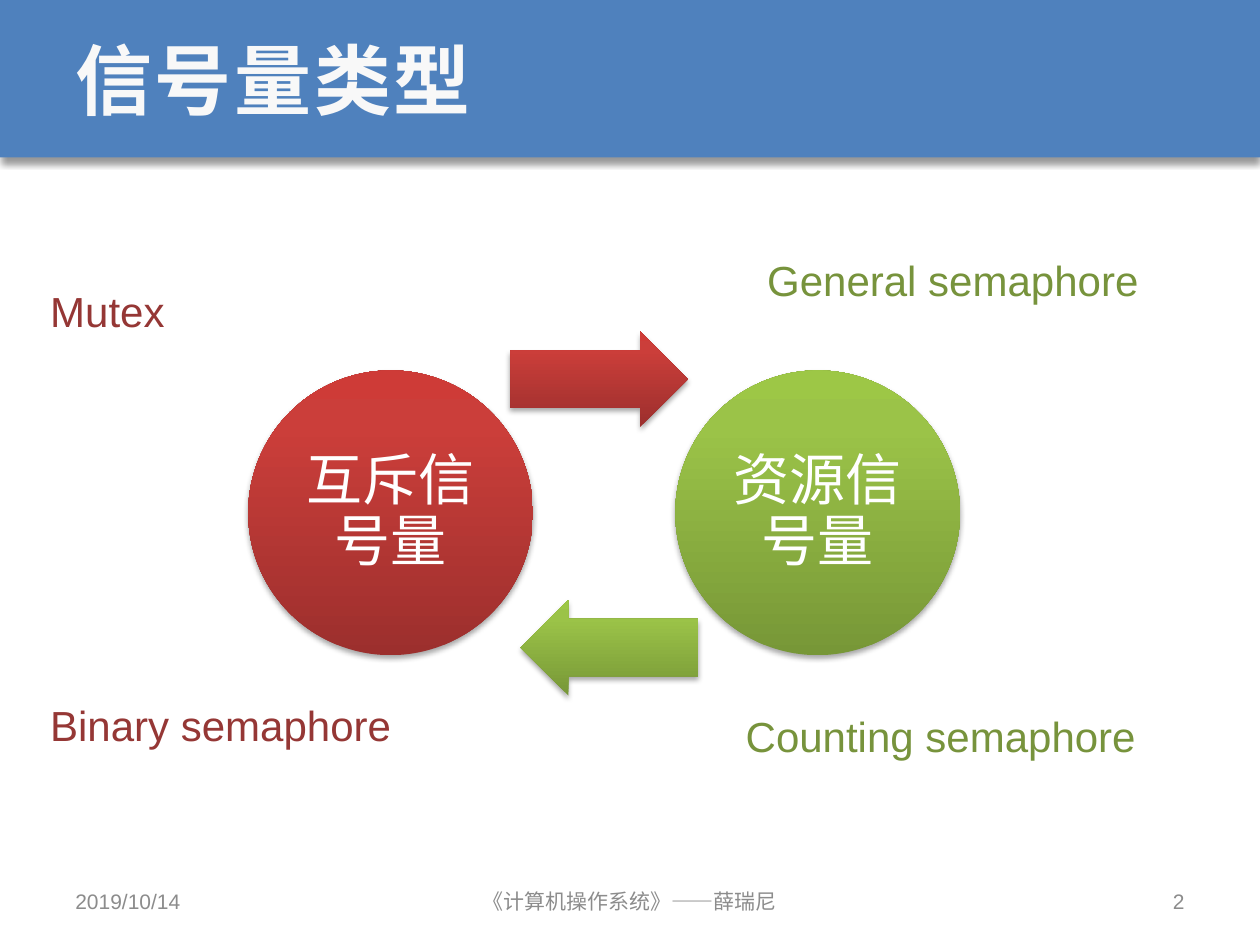
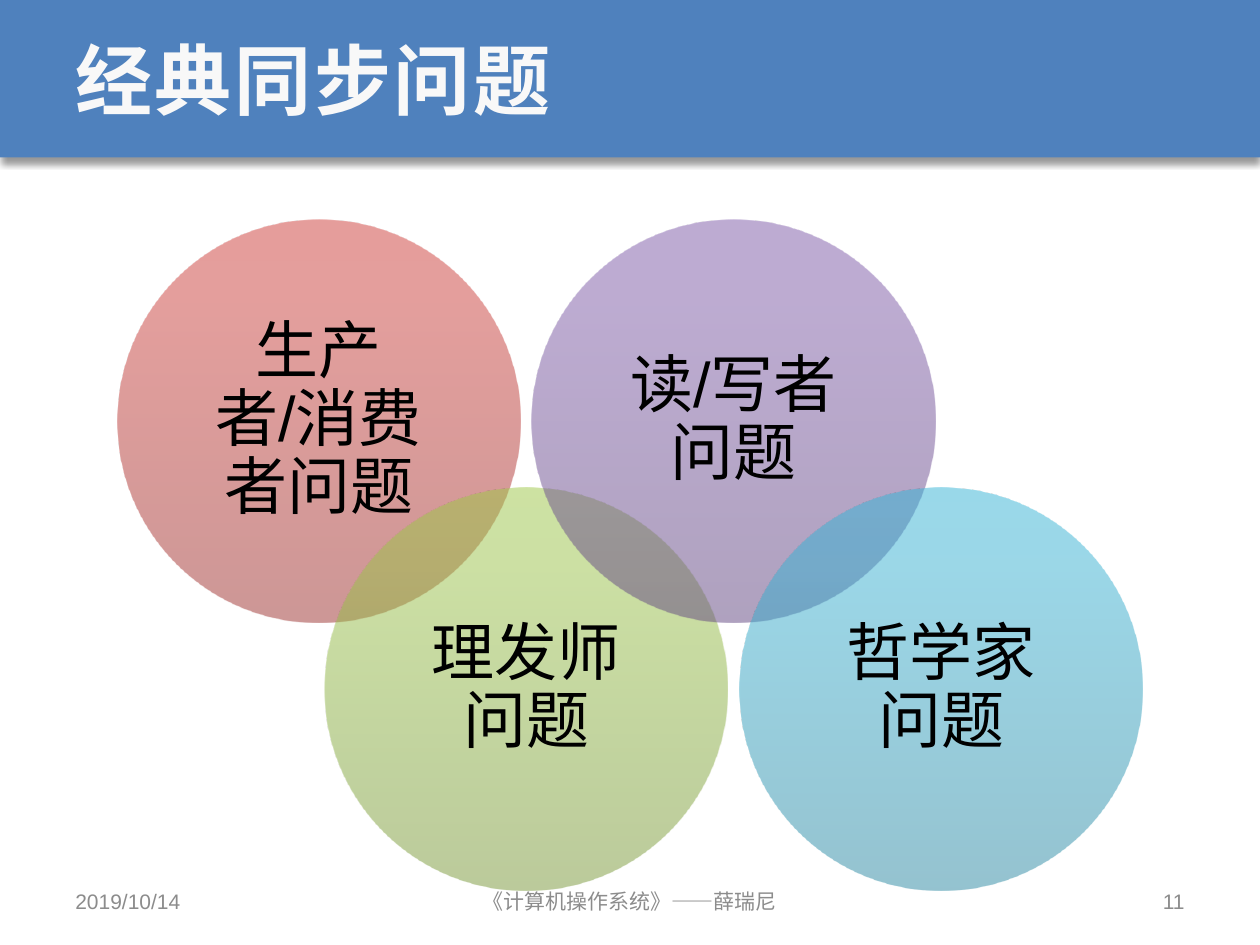
from dataclasses import dataclass

from lxml import etree
from pptx import Presentation
from pptx.dml.color import RGBColor
from pptx.enum.lang import MSO_LANGUAGE_ID as Lang
from pptx.enum.shapes import MSO_SHAPE as Preset
from pptx.enum.text import MSO_ANCHOR as Anchor, MSO_AUTO_SIZE as AutoSize, PP_ALIGN as Align
from pptx.oxml.ns import qn
from pptx.util import Inches, Pt


@dataclass(frozen=True)
class Theme:
    """Colours, gradients, fonts and type sizes of the deck."""
    band: str = "4F81BD"
    title: str = "F8F8F8"
    footer: str = "8C8C8C"
    white: str = "FFFFFF"
    black: str = "000000"
    red_text: str = "953735"
    green_text: str = "77933C"
    red: tuple = ("9C2F2D", "CB3E3A", "CE3B37")
    green: tuple = ("779737", "9BC348", "9DC746")
    purple: tuple = ("5F4480", "7B58A6", "7C57A8")
    cyan: tuple = ("2A88A2", "37B1D2", "34B4D6")
    body_font: str = "Arial"
    title_font: str = "Noto Sans Mono"
    title_size: int = 44
    venn_size: int = 36
    cycle_size: int = 32
    label_size: int = 24
    footer_size: int = 12


@dataclass(frozen=True)
class Box:
    """A region in inches."""
    left: float
    top: float
    width: float
    height: float

    def inner(self, left, top, width, height):
        """Return a box offset from this one's corner."""
        return Box(self.left + left, self.top + top, width, height)

    def emu(self):
        """Return the four lengths for python-pptx."""
        return [Inches(v) for v in (self.left, self.top, self.width, self.height)]


THEME = Theme()
PAGE = Box(0, 0, 10, 7.5)
HEADER = Box(0, 0, 10, 1.25)
FOOTER = Box(0.5, 6.95, 9, 0.4)
CYCLE = Box(1.97, 2.63, 5.65, 2.89)
VENN = Box(0.93, 1.74, 8.14, 5.33)


def write(frame, text, size, color, font=THEME.body_font, align=Align.LEFT, bold=False):
    """Write one run into a frame and return it."""
    paragraph = frame.paragraphs[0]
    paragraph.alignment = align
    run = paragraph.add_run()
    run.text = text
    run.font.name = font
    run.font.size = Pt(size)
    run.font.bold = bold
    run.font.color.rgb = RGBColor.from_string(color)
    if not text.isascii():
        run.font.language_id = Lang.SIMPLIFIED_CHINESE
    return run


def add_text(slide, box, text, size, color, wrap=True, **style):
    """Add a text box holding a single run."""
    frame = slide.shapes.add_textbox(*box.emu()).text_frame
    frame.word_wrap = wrap
    frame.auto_size = AutoSize.NONE if wrap else AutoSize.SHAPE_TO_FIT_TEXT
    frame.vertical_anchor = Anchor.MIDDLE if wrap else Anchor.TOP
    return write(frame, text, size, color, **style)


def add_preset(slide, preset, box):
    """Add a preset shape without outline or shadow."""
    shape = slide.shapes.add_shape(preset, *box.emu())
    shape.shadow.inherit = False
    shape.line.fill.background()
    return shape


def fill_gradient(shape, colors, opacity=100):
    """Fill with three stops rising from the bottom edge."""
    shape.fill.gradient()
    gradient = shape.element.spPr.find(qn("a:gradFill"))
    gradient.set("rotWithShape", "0")
    stops = gradient.find(qn("a:gsLst"))
    for stop in list(stops):
        stops.remove(stop)
    for position, color in zip((0, 80, 100), colors):
        stop = etree.SubElement(stops, qn("a:gs"), pos=str(position * 1000))
        value = etree.SubElement(stop, qn("a:srgbClr"), val=color)
        if opacity < 100:
            etree.SubElement(value, qn("a:alpha"), val=str(opacity * 1000))
    gradient.find(qn("a:lin")).set("ang", str(270 * 60000))


def drop_shadow(shape, opacity, blur, distance):
    """Cast a black shadow straight down."""
    effects = shape.element.spPr.find(qn("a:effectLst"))
    shadow = etree.SubElement(
        effects, qn("a:outerShdw"), blurRad=str(Pt(blur)), dist=str(Pt(distance)),
        dir=str(90 * 60000), rotWithShape="0")
    color = etree.SubElement(shadow, qn("a:srgbClr"), val=THEME.black)
    etree.SubElement(color, qn("a:alpha"), val=str(opacity * 1000))


def add_circle(slide, box, text, colors, size, text_color, inset, opacity=100):
    """Add a gradient circle with a centred caption."""
    circle = add_preset(slide, Preset.OVAL, box)
    fill_gradient(circle, colors, opacity)
    frame = circle.text_frame
    frame.word_wrap = True
    frame.vertical_anchor = Anchor.MIDDLE
    frame.margin_left = frame.margin_right = Inches(inset)
    frame.margin_top = frame.margin_bottom = Inches(inset)
    write(frame, text, size, text_color, align=Align.CENTER)
    frame.paragraphs[0].line_spacing = 0.9
    return circle


def add_header(slide, box, title):
    """Draw the title band."""
    band = add_preset(slide, Preset.RECTANGLE, box)
    band.fill.solid()
    band.fill.fore_color.rgb = RGBColor.from_string(THEME.band)
    drop_shadow(band, 40, 4, 3)
    heading = add_text(slide, box.inner(0.5, 0, box.width - 1, box.height), title,
                       THEME.title_size, THEME.title, font=THEME.title_font, bold=True)
    heading.font._element.set("spc", "150")


def add_footer(slide, box, number):
    """Write date, course and page number."""
    side, middle = 2.33, box.width - 2 * 2.33
    parts = (
        (0, side, "2019/10/14", THEME.body_font, Align.LEFT),
        (side, middle, "《计算机操作系统》——薛瑞尼", THEME.title_font, Align.CENTER),
        (side + middle, side, str(number), THEME.body_font, Align.RIGHT),
    )
    for left, width, text, font, align in parts:
        add_text(slide, box.inner(left, 0, width, box.height), text,
                 THEME.footer_size, THEME.footer, font=font, align=align)


def add_cycle(slide, box):
    """Draw the two semaphore kinds and the arrows between them."""
    diameter = 2.26
    arrow_width, arrow_height = 1.41, 0.76
    kinds = (
        ("互斥信号量", THEME.red, 0, 2.08, 0, 0),
        ("资源信号量", THEME.green, box.width - diameter, 2.16, box.height - arrow_height, 180),
    )
    for text, colors, left, arrow_left, arrow_top, turn in kinds:
        circle = add_circle(slide, box.inner(left, 0.31, diameter, diameter), text, colors,
                            THEME.cycle_size, THEME.white, 0.04)
        arrow = add_preset(slide, Preset.RIGHT_ARROW,
                           box.inner(arrow_left, arrow_top, arrow_width, arrow_height))
        arrow.adjustments[0], arrow.adjustments[1] = 0.6, 0.5
        arrow.rotation = turn
        fill_gradient(arrow, colors)
        for part in (circle, arrow):
            drop_shadow(part, 35, 3.1, 1.8)


def add_synonyms(slide, box):
    """Write the English names around the cycle."""
    names = (
        ("Counting semaphore", 5.82, 5.59, 3.33, THEME.green_text),
        ("Mutex", 0.3, 2.22, 1.12, THEME.red_text),
        ("Binary semaphore", 0.3, 5.5, 2.93, THEME.red_text),
        ("General semaphore", 5.99, 1.97, 3.18, THEME.green_text),
    )
    for name, left, top, width, color in names:
        add_text(slide, box.inner(left, top, width, 0.5), name,
                 THEME.label_size, color, wrap=False)


def add_venn(slide, box):
    """Draw overlapping problem circles in a zigzag."""
    problems = (
        ("生产者/消费者问题", THEME.red),
        ("理发师问题", THEME.green),
        ("读/写者问题", THEME.purple),
        ("哲学家问题", THEME.cyan),
    )
    diameter = 3.2
    step = (box.width - diameter) / (len(problems) - 1)
    drop = box.height - diameter
    for index, (text, colors) in enumerate(problems):
        place = box.inner(index * step, index % 2 * drop, diameter, diameter)
        add_circle(slide, place, text, colors, THEME.venn_size, THEME.black, 0.15, opacity=50)


def add_page(deck, title, number, regions):
    """Add a slide with the shared header and footer."""
    slide = deck.slides.add_slide(deck.slide_layouts[6])
    add_header(slide, HEADER, title)
    for draw, box in regions:
        draw(slide, box)
    add_footer(slide, FOOTER, number)


def main():
    """Build and save the deck."""
    deck = Presentation()
    deck.slide_width, deck.slide_height = Inches(PAGE.width), Inches(PAGE.height)
    add_page(deck, "信号量类型", 2, [(add_cycle, CYCLE), (add_synonyms, PAGE)])
    add_page(deck, "经典同步问题", 11, [(add_venn, VENN)])
    deck.save("out.pptx")


if __name__ == "__main__":
    main()
